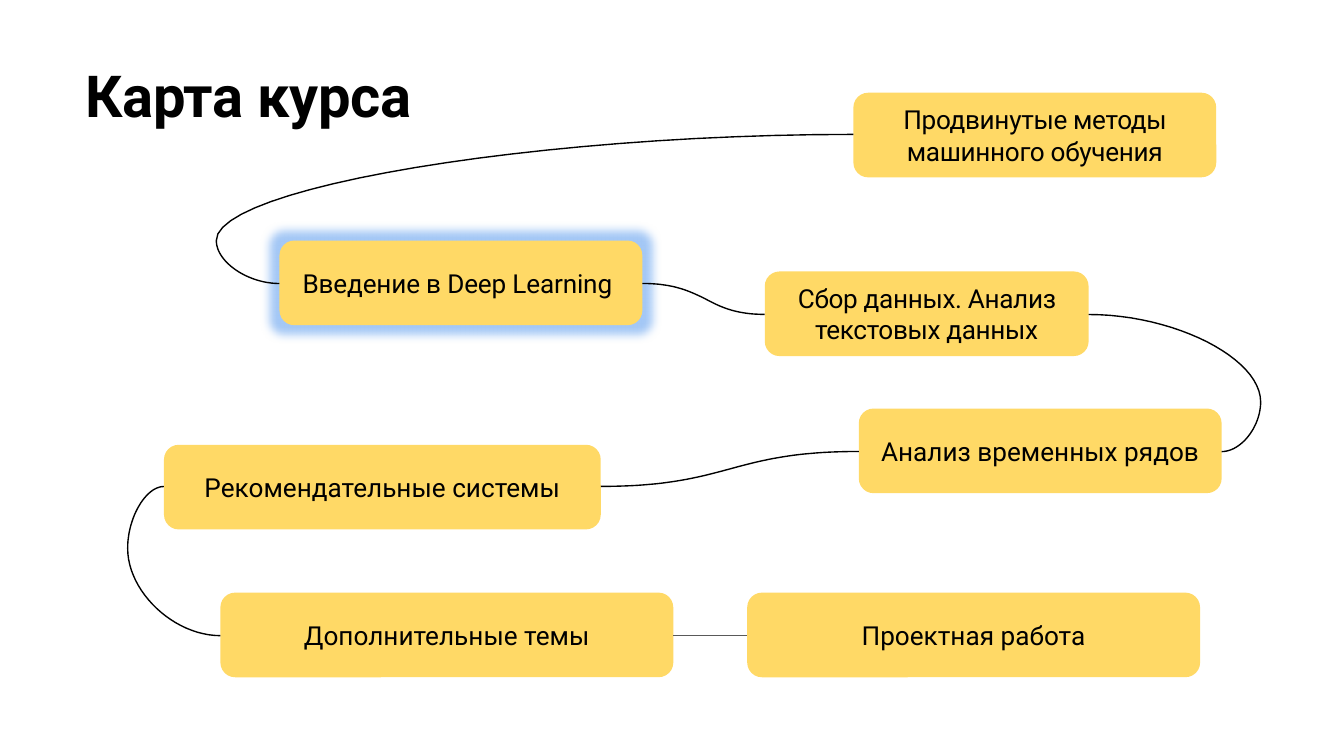
import pptx
import pptx.util
import pptx.dml.color
import pptx.enum.shapes
import pptx.enum.text
import pptx.oxml.ns
import lxml.etree

Inches = pptx.util.Inches
Pt = pptx.util.Pt
ANCHOR = pptx.enum.text.MSO_ANCHOR
ALIGN = pptx.enum.text.PP_ALIGN
KIND = pptx.enum.shapes.MSO_SHAPE
BLACK, GOLD, GREY, GLOW = "000000", "FFD966", "595959", "A4C8F6"


def color(hex):
    return pptx.dml.color.RGBColor.from_string(hex)


def write(para, text, size, gap, bold=False):
    run = para.add_run()
    run.text = text
    run.font.name = "Roboto"
    run.font.size = Pt(size)
    run.font.bold = bold
    run.font.color.rgb = color(BLACK)
    run.font._element.set("spc", str(gap))


deck = pptx.Presentation()
deck.slide_width = Inches(10)
deck.slide_height = Inches(10) * 9 // 16
slide = deck.slides.add_slide(deck.slide_layouts[5])

title = slide.shapes.title
title.left, title.top = Inches(0.63), Inches(0.42)
title.width, title.height = Inches(6.81), Inches(0.54)
frame = title.text_frame
frame.margin_left = Inches(0.01)
frame.margin_right = frame.margin_bottom = 0
frame.margin_top = Inches(0.02)
frame.vertical_anchor = ANCHOR.TOP
head = frame.paragraphs[0]
head.alignment = ALIGN.LEFT
write(head, "Карта ", 31, -30, True)
write(head, "курса", 31, -10, True)

tall = 0.63
round_by = 0.11
topics = [
    (6.35, 0.69, 2.7, "Продвинутые методы машинного обучения", -20),
    (2.08, 1.79, 2.7, "Введение в Deep Learning", -10),
    (5.69, 2.02, 2.41, "Сбор данных. Анализ текстовых данных", -20),
    (6.39, 3.04, 2.7, "Анализ временных рядов", 0),
    (1.22, 3.31, 3.25, "Рекомендательные системы", 0),
    (1.64, 4.41, 3.37, "Дополнительные темы", 0),
    (5.56, 4.41, 3.37, "Проектная работа", 0),
]
boxes = []
for left, top, width, text, gap in topics:
    box = slide.shapes.add_shape(
        KIND.ROUNDED_RECTANGLE, Inches(left), Inches(top), Inches(width), Inches(tall))
    box.adjustments[0] = round_by / tall
    box.shadow.inherit = False
    box.fill.solid()
    box.fill.fore_color.rgb = color(GOLD)
    box.line.fill.background()
    frame = box.text_frame
    frame.word_wrap = True
    frame.margin_left = frame.margin_right = 0
    frame.margin_top = frame.margin_bottom = 0
    frame.vertical_anchor = ANCHOR.MIDDLE
    frame.paragraphs[0].alignment = ALIGN.CENTER
    write(frame.paragraphs[0], text, 14, gap)
    boxes.append(box)

now = boxes[1]
now.text_frame.margin_left = Inches(0.14)
now.text_frame.paragraphs[0].alignment = ALIGN.LEFT
space = pptx.oxml.ns.qn
glow = lxml.etree.SubElement(
    now._element.spPr.find(space("a:effectLst")), space("a:glow"), rad=str(Inches(0.14)))
lxml.etree.SubElement(glow, space("a:srgbClr"), val=GLOW)

curves = [
    ((6.35, 1), (1.61, 1.79), (2.08, 2.11), 0),
    ((4.78, 2.11), (5.24, 2.22), (5.69, 2.34), 0.25),
    ((8.1, 2.34), (9.38, 2.99), (9.09, 3.36), 0),
    ((6.39, 3.36), (5.43, 3.49), (4.47, 3.62), 0.25),
    ((1.22, 3.62), (0.95, 4.08), (1.64, 4.73), 0),
]
steps = 24
for start, turn, end, lean in curves:
    halves = []
    for tip in (start, end):
        near = ((tip[0] + turn[0]) / 2, tip[1])
        far = (turn[0] + lean * (tip[0] - turn[0]), (tip[1] + turn[1]) / 2)
        half = []
        for step in range(steps + 1):
            t = step / steps
            u = 1 - t
            half.append([Inches(u**3 * a + 3 * u * u * t * b + 3 * u * t * t * c + t**3 * d)
                         for a, b, c, d in zip(tip, near, far, turn)])
        halves.append(half)
    dots = halves[0] + halves[1][-2::-1]
    pen = slide.shapes.build_freeform(*dots[0])
    pen.add_line_segments(dots[1:], close=False)
    curve = pen.convert_to_shape()
    curve.shadow.inherit = False
    curve.fill.background()
    curve.line.color.rgb = color(BLACK)
    curve.line.width = Pt(0.75)

link = slide.shapes.add_connector(
    pptx.enum.shapes.MSO_CONNECTOR.STRAIGHT,
    Inches(5.01), Inches(4.73), Inches(5.56), Inches(4.73))
link.line.color.rgb = color(GREY)
link.line.width = Pt(0.75)
lxml.etree.SubElement(link._element.spPr, space("a:effectLst"))

deck.save("out.pptx")
